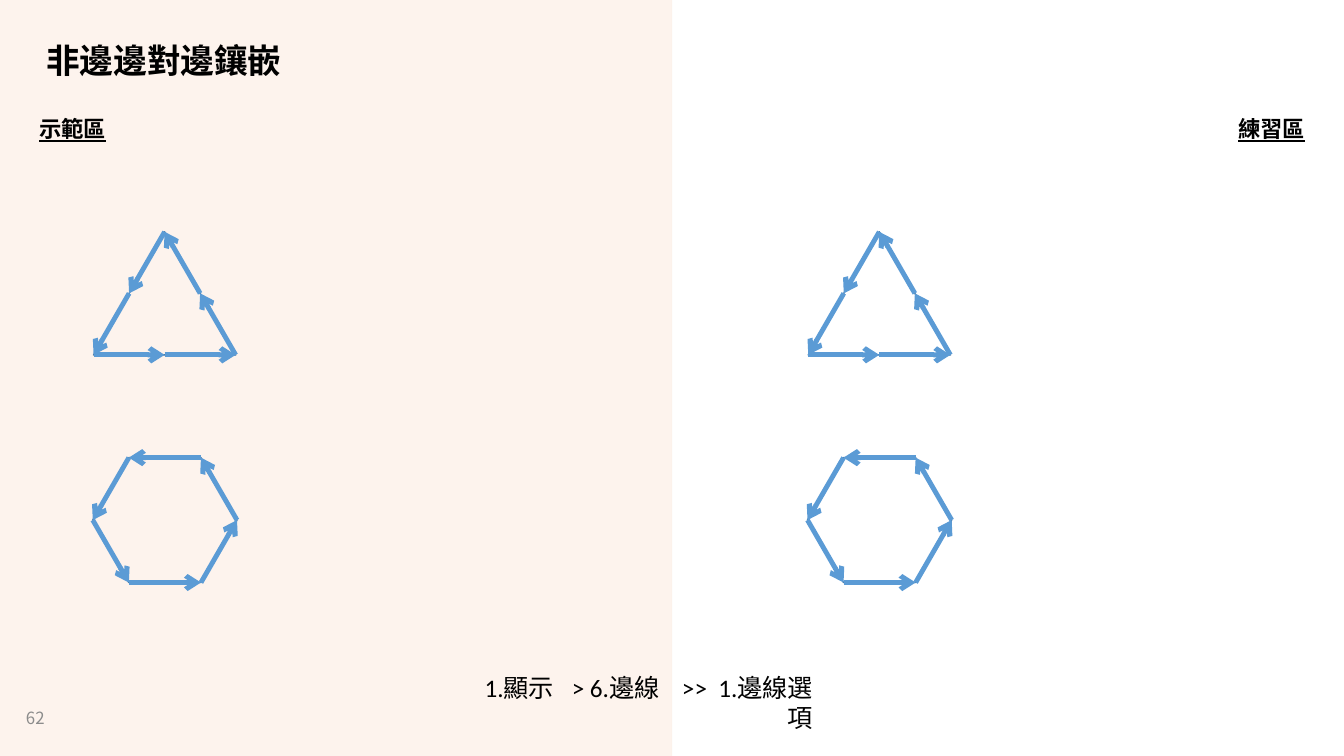
import math

import pptx
import pptx.dml.color
import pptx.enum.shapes
import pptx.enum.text
import pptx.util
from lxml import etree
from pptx.oxml.ns import qn

Pt = pptx.util.Pt
RGBColor = pptx.dml.color.RGBColor
Align = pptx.enum.text.PP_ALIGN
Anchor = pptx.enum.text.MSO_ANCHOR
AutoSize = pptx.enum.text.MSO_AUTO_SIZE
Preset = pptx.enum.shapes.MSO_SHAPE

BLACK = RGBColor(0x00, 0x00, 0x00)
GREY = RGBColor(0x8C, 0x8C, 0x8C)
PEACH = RGBColor(0xF4, 0xB1, 0x83)
PALE_PEACH = RGBColor(0xFB, 0xE5, 0xD6)
BLUE = RGBColor(0x5B, 0x9B, 0xD5)
DARK_BLUE = RGBColor(0x43, 0x73, 0x9E)

WIDTH, HEIGHT = 960, 540
CJK_FONT = "Noto Sans CJK SC"
PRACTICE_SHIFT = 510.5


def write(shape, *pieces, size=16, font=CJK_FONT, color=BLACK, bold=False,
          underline=False, align=Align.LEFT, anchor=Anchor.TOP, wrap=True,
          line_spacing=None, auto_size=AutoSize.NONE, gaps=()):
    """Write the pieces on one line, joined by spaces widened by gaps."""
    frame = shape.text_frame
    frame.word_wrap = wrap
    frame.auto_size = auto_size
    frame.vertical_anchor = anchor
    paragraph = frame.paragraphs[0]
    paragraph.alignment = align
    paragraph.line_spacing = line_spacing
    runs = [(pieces[0], 0)]
    for gap, piece in zip(gaps, pieces[1:]):
        runs += [(" ", gap), (piece, 0)]
    for text, spacing in runs:
        run = paragraph.add_run()
        run.text = text
        run.font.size = Pt(size)
        run.font.name = font
        run.font.bold = bold
        run.font.underline = underline
        run.font.color.rgb = color
        properties = run.font._element
        etree.SubElement(properties, qn("a:ea")).set("typeface", CJK_FONT)
        if spacing:
            properties.set("spc", str(round(spacing * 100)))


def set_alpha(fill, percent):
    color = fill._xPr.find(qn("a:solidFill"))[0]
    etree.SubElement(color, qn("a:alpha")).set("val", str(percent * 1000))


class Board:
    """Holds the current slide and the line style of its tiles."""

    def __init__(self, slide):
        self.slide = slide
        self.arrow_width = 3.5
        self.outline_width = 1

    def title(self, text, *box, **style):
        heading = self.slide.shapes.title
        heading.left, heading.top, heading.width, heading.height = map(Pt, box)
        tree = heading._element.getparent()
        tree.append(heading._element)  # in front of the panel
        write(heading, text, **style)

    def label(self, text, *box, **style):
        write(self.slide.shapes.add_textbox(*map(Pt, box)), text, **style)

    def block(self, preset, *box):
        block = self.slide.shapes.add_shape(preset, *map(Pt, box))
        block.shadow.inherit = False
        block.fill.background()
        block.line.fill.background()
        return block

    def line(self, start, end, color, width, shapes=None, arrow=False):
        line = (shapes or self.slide.shapes).add_connector(
            pptx.enum.shapes.MSO_CONNECTOR.STRAIGHT, *map(Pt, start + end))
        line.line.color.rgb = color
        line.line.width = Pt(width)
        if arrow:
            tip = etree.SubElement(line.line._get_or_add_ln(), qn("a:tailEnd"))
            tip.set("type", "arrow")
        etree.SubElement(line._element.spPr, qn("a:effectLst"))
        return line

    def outline(self, points):
        start, *rest = [(Pt(x), Pt(y)) for x, y in points]
        builder = self.slide.shapes.build_freeform(*start)
        builder.add_line_segments(rest, close=True)
        tile = builder.convert_to_shape()
        tile.shadow.inherit = False
        tile.fill.background()
        tile.line.color.rgb = DARK_BLUE
        tile.line.width = Pt(self.outline_width)

    def tiles(self, tiles):
        """Draw each tile's outline, then all directed edges as one group."""
        for points in tiles:
            self.outline(points)
        edges = self.slide.shapes.add_group_shape().shapes
        for points in tiles:
            for start, end in zip(points, points[1:] + points[:1]):
                self.line(start, end, BLUE, self.arrow_width, edges, arrow=True)


def polygon(center_x, center_y, radius, sides, first_angle):
    """Corners of a regular polygon, counterclockwise from first_angle."""
    angles = [math.radians(first_angle + 360 * i / sides) for i in range(sides)]
    return [(center_x + radius * math.cos(a), center_y - radius * math.sin(a))
            for a in angles]


def with_midpoints(corners):
    points = []
    for (x1, y1), (x2, y2) in zip(corners, corners[1:] + corners[:1]):
        points += [(x1, y1), ((x1 + x2) / 2, (y1 + y2) / 2)]
    return points


def main():
    deck = pptx.Presentation()
    deck.slide_width, deck.slide_height = Pt(WIDTH), Pt(HEIGHT)
    board = Board(deck.slides.add_slide(deck.slide_layouts[5]))

    demo_panel = board.block(Preset.RECTANGLE, 0, 0, WIDTH / 2, HEIGHT)
    demo_panel.fill.solid()
    demo_panel.fill.fore_color.rgb = PEACH
    set_alpha(demo_panel.fill, 14)
    divider = board.line((WIDTH / 2, HEIGHT), (WIDTH / 2, 0), PALE_PEACH, 0.25)
    set_alpha(divider.line.fill, 50)

    for area, left in (("示範區", 20.6), ("練習區", 877)):
        board.label(area, left, 78.8, 62.6, 26.6, bold=True, underline=True,
                    align=Align.CENTER, wrap=False,
                    auto_size=AutoSize.SHAPE_TO_FIT_TEXT)
    board.title("非邊邊對邊鑲嵌", 25.9, 28.8, 428.4, 31.7, size=24, bold=True,
                anchor=Anchor.MIDDLE, wrap=False, line_spacing=0.9)
    board.label("62", 11.5, 499, 48.2, 28, size=12, color=GREY,
                anchor=Anchor.MIDDLE)

    for shift in (0, PRACTICE_SHIFT):
        triangle = with_midpoints(polygon(117.6 + shift, 224.2, 58.6, 3, 90))
        hexagon = polygon(117.8 + shift, 371.5, 51.5, 6, 0)
        board.tiles([hexagon, triangle])

    menu_steps = board.block(Preset.ROUNDED_RECTANGLE, 316.8, 476.5, 273.6, 50.4)
    menu_steps.text_frame.margin_left = Pt(16)
    write(menu_steps, "1.顯示", "> 6.邊線", ">>", "1.邊線選項",
          gaps=(8.6, 12, 4), size=18, font="Calibri",
          align=Align.RIGHT, anchor=Anchor.MIDDLE)

    deck.save("out.pptx")


if __name__ == "__main__":
    main()
